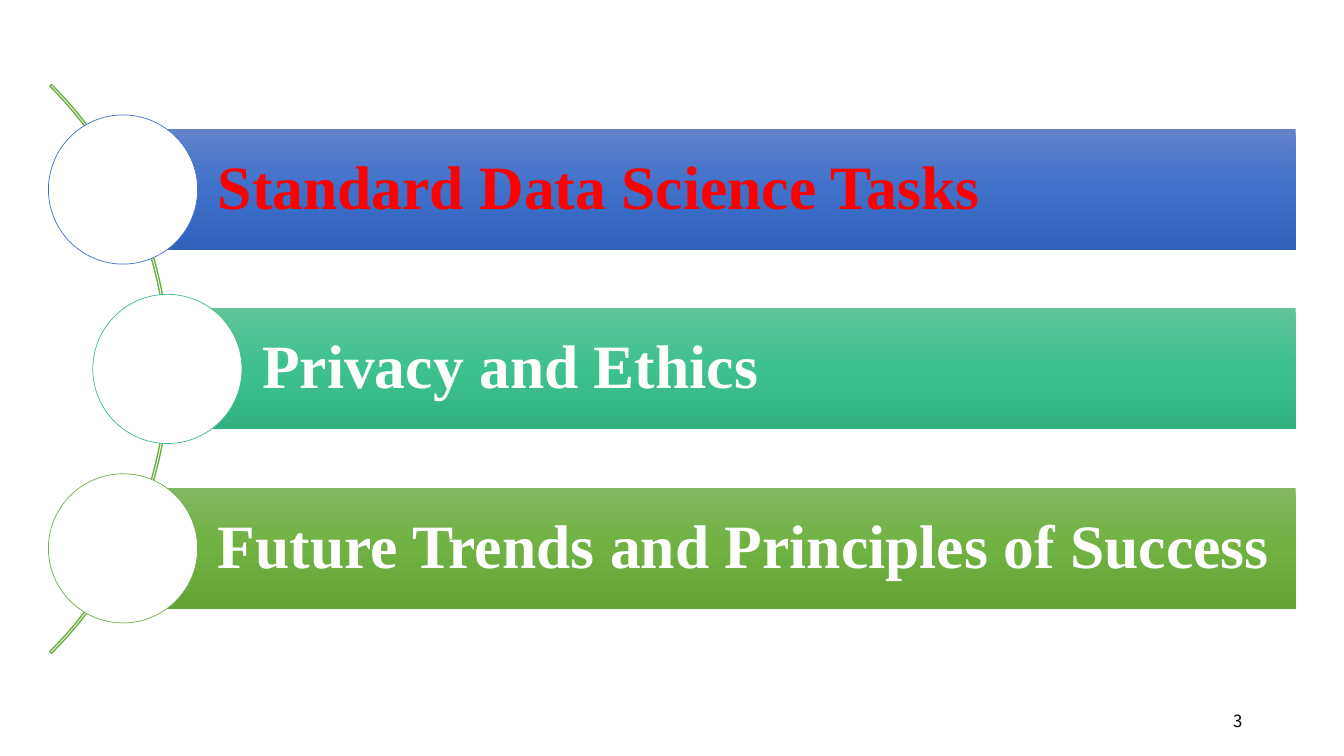
from copy import deepcopy

from pptx import Presentation
from pptx.dml.color import RGBColor
from pptx.enum.shapes import MSO_SHAPE
from pptx.enum.text import MSO_ANCHOR, PP_ALIGN
from pptx.oxml.ns import qn
from pptx.util import Pt

PX = 9144  # 100 px to the inch
WHITE = RGBColor(0xFF, 0xFF, 0xFF)
BLACK = RGBColor(0x00, 0x00, 0x00)
RED = RGBColor(0xFF, 0x00, 0x00)
BLUE = RGBColor(0x44, 0x72, 0xC4)
TEAL = RGBColor(0x43, 0xBB, 0x8D)
GREEN = RGBColor(0x70, 0xAD, 0x47)
BLUES = [RGBColor(0x61, 0x83, 0xCB), RGBColor(0x3E, 0x70, 0xCA), RGBColor(0x30, 0x62, 0xBB)]
TEALS = [RGBColor(0x60, 0xC3, 0x9A), RGBColor(0x3D, 0xC1, 0x8F), RGBColor(0x31, 0xB0, 0x80)]
GREENS = [RGBColor(0x81, 0xB8, 0x61), RGBColor(0x6F, 0xB2, 0x42), RGBColor(0x62, 0xA3, 0x36)]

TOPICS = [
    ("Standard Data Science Tasks", RED, BLUE, BLUES, 0),
    ("Privacy and Ethics", WHITE, TEAL, TEALS, 44),
    ("Future Trends and Principles of Success", WHITE, GREEN, GREENS, 0),
]


def scale(*sizes):
    return [size * PX for size in sizes]


def add_flat(slide, kind, box):
    """Add a preset shape without a shadow."""
    shape = slide.shapes.add_shape(kind, *scale(*box))
    shape.shadow.inherit = False
    return shape


def shade(shape, colors):
    """Fill from top to bottom with three evenly spaced colours."""
    fill = shape.fill
    fill.gradient()
    fill.gradient_angle = 270
    stops = shape._element.spPr.find(qn("a:gradFill")).find(qn("a:gsLst"))
    stops.append(deepcopy(stops[0]))
    for i, (stop, color) in enumerate(zip(fill.gradient_stops, colors)):
        stop.position = i / 2
        stop.color.rgb = color


def write(frame, text, font, size, color, bold=False):
    frame.word_wrap = True
    frame.vertical_anchor = MSO_ANCHOR.MIDDLE
    para = frame.paragraphs[0]
    run = para.add_run()
    run.text = text
    run.font.name = font
    run.font.size = Pt(size)
    run.font.bold = bold
    run.font.color.rgb = color
    return para


def add_arc(slide, box):
    arc = add_flat(slide, MSO_SHAPE.BLOCK_ARC, box)
    for i, value in enumerate((189, 27, 0.003)):
        arc.adjustments[i] = value
    arc.fill.background()
    arc.line.color.rgb = GREEN
    arc.line.width = Pt(1)


def add_topic(slide, box, topic):
    text, ink, edge, colors, shift = topic
    left, top, width, size = box
    left, width = left + shift, width - shift
    half, inset = size // 2, size // 10

    bar = add_flat(slide, MSO_SHAPE.RECTANGLE,
                   (left + half, top + inset, width - half, size - 2 * inset))
    shade(bar, colors)
    bar.line.fill.background()
    frame = bar.text_frame
    (frame.margin_left, frame.margin_top,
     frame.margin_right, frame.margin_bottom) = scale(94, 12, 12, 12)
    para = write(frame, text, "Times New Roman", 44, ink, True)
    para.alignment = PP_ALIGN.LEFT
    para.line_spacing = 0.9

    disc = add_flat(slide, MSO_SHAPE.OVAL, (left, top, size, size))
    disc.fill.solid()
    disc.fill.fore_color.rgb = WHITE
    disc.line.color.rgb = edge
    disc.line.width = Pt(0.5)


def add_list(slide, box):
    left, top, width, height = box
    size = 148
    pitch = (height - size) // (len(TOPICS) - 1)
    add_arc(slide, (left - 678, top - 147, 798, 798))
    for i, topic in enumerate(TOPICS):
        add_topic(slide, (left, top + i * pitch, width, size), topic)


def add_number(slide, box):
    label = slide.shapes.add_textbox(*scale(*box))
    para = write(label.text_frame, "3", "Noto Sans CJK SC", 12, BLACK)
    para.alignment = PP_ALIGN.RIGHT


def main():
    deck = Presentation()
    deck.slide_width, deck.slide_height = scale(1333, 750)
    slide = deck.slides.add_slide(deck.slide_layouts[6])
    add_number(slide, (942, 695, 300, 40))
    add_list(slide, (48, 114, 1237, 504))
    deck.save("out.pptx")


if __name__ == "__main__":
    main()
